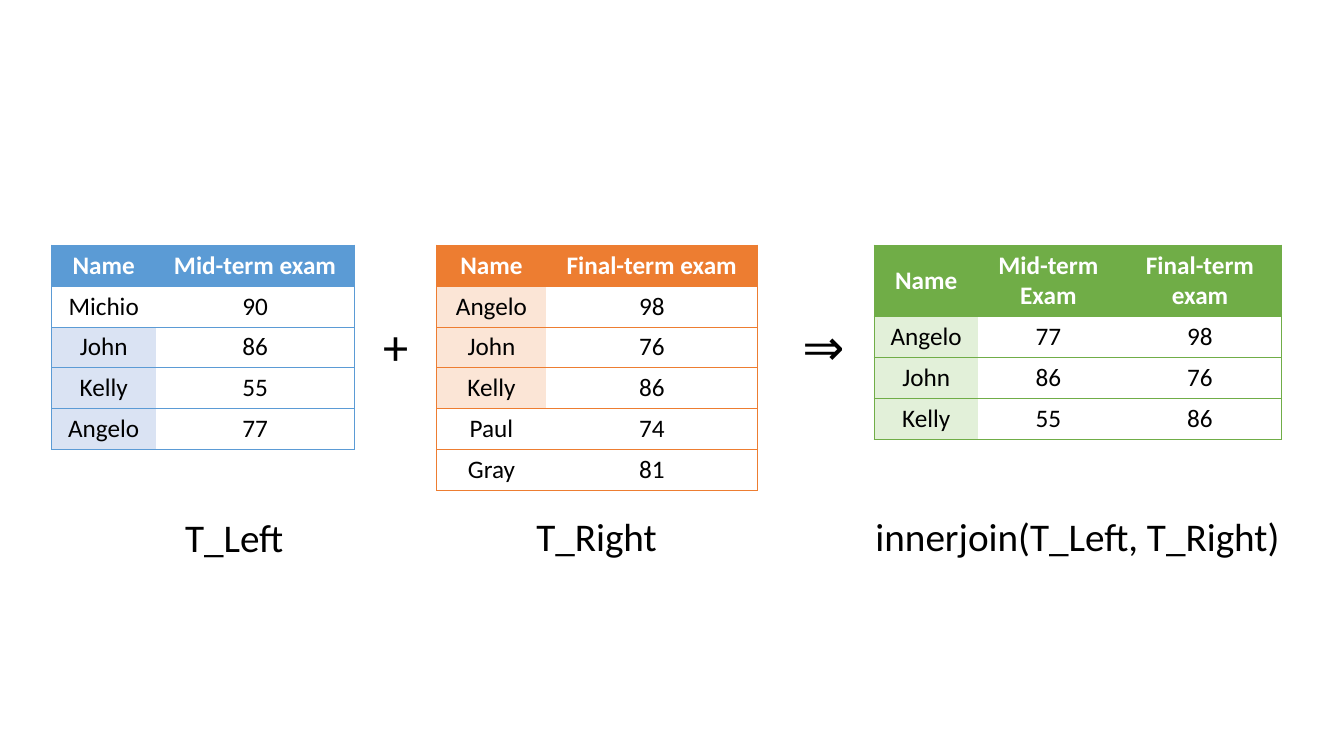
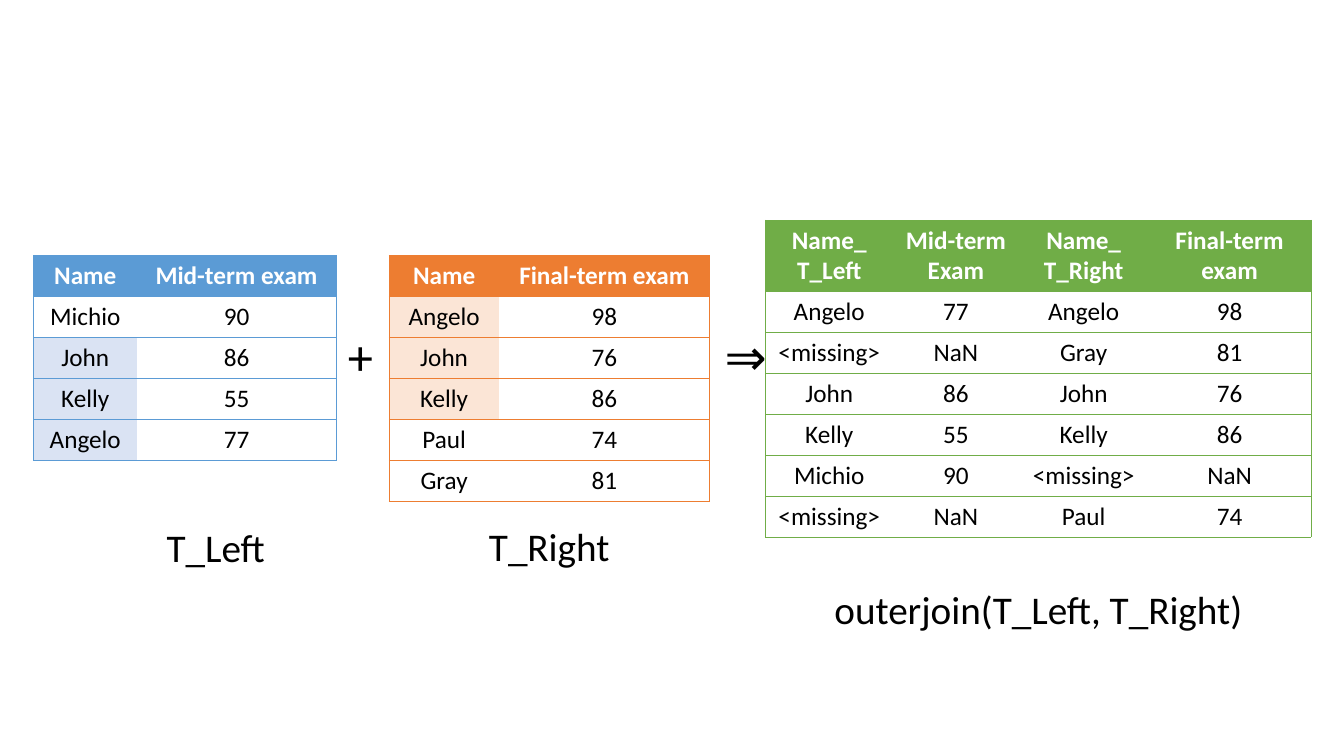
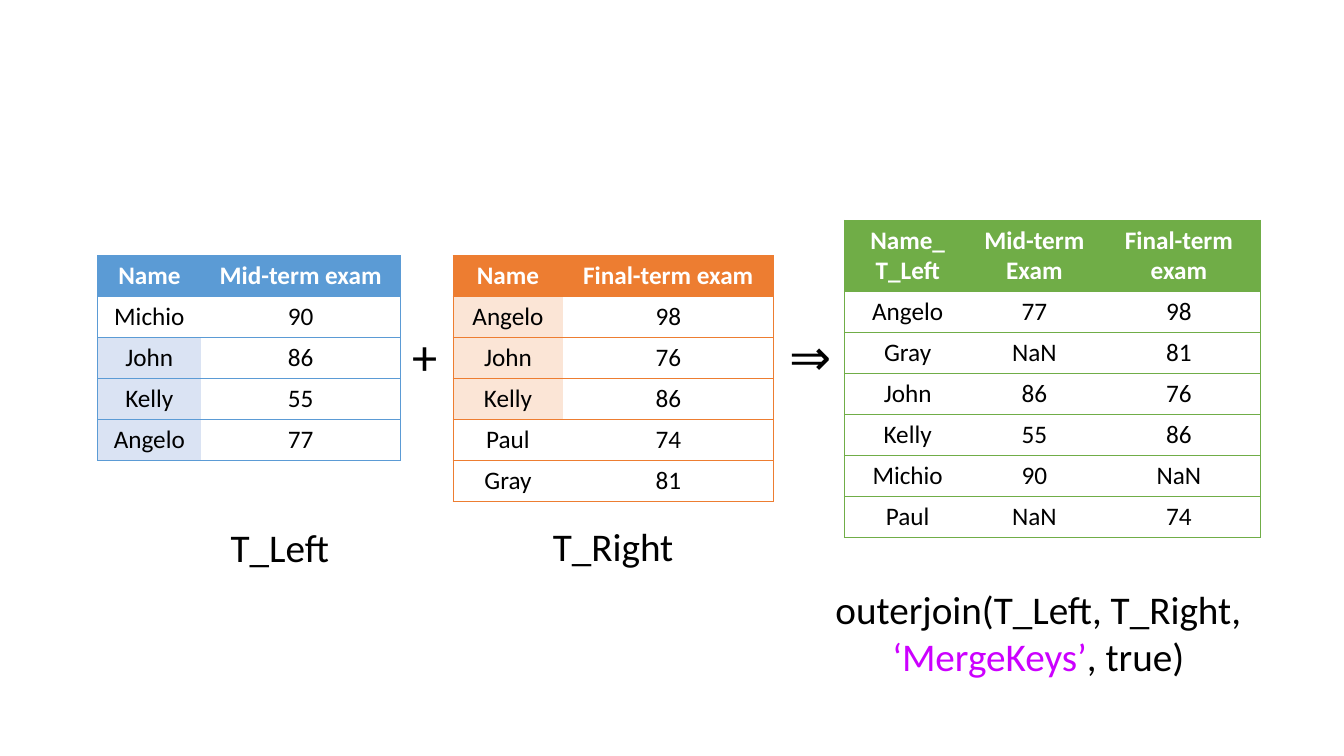
import pptx
import pptx.dml.color
import pptx.enum.text
import pptx.oxml
import pptx.oxml.ns
import pptx.util

Pt = pptx.util.Pt
CENTER = pptx.enum.text.PP_ALIGN.CENTER
MIDDLE = pptx.enum.text.MSO_ANCHOR.MIDDLE

FONT = "Calibri"
COLORS = {
    "blue": "5B9BD5", "light blue": "DAE3F3",
    "orange": "ED7D31", "light orange": "FBE5D6",
    "green": "70AD47", "light green": "E2F0D9",
    "white": "FFFFFF", "black": "000000", "magenta": "CC00FF",
}
COLORS = {name: pptx.dml.color.RGBColor.from_string(value) for name, value in COLORS.items()}

ROW_HEIGHT = 29.25
TALL_HEADER_HEIGHT = 51.1

LEFT_WIDTHS = [74.2, 142]
LEFT_ROWS = [
    ["Name", "Mid-term exam"],
    ["Michio", "90"], ["John", "86"], ["Kelly", "55"], ["Angelo", "77"],
]
RIGHT_WIDTHS = [78.5, 150.5]
RIGHT_ROWS = [
    ["Name", "Final-term exam"],
    ["Angelo", "98"], ["John", "76"], ["Kelly", "86"], ["Paul", "74"], ["Gray", "81"],
]
SHARED_NAMES = {"Angelo", "John", "Kelly"}

SLIDES = [
    {
        "table top": 175, "left x": 37, "plus x": 266.5, "right x": 311.8, "arrow x": 566,
        "result at": (624.3, 175), "widths": [74.6, 100, 116.6], "shaded names": SHARED_NAMES,
        "rows": [
            ["Name", "Mid-term\nExam", "Final-term exam"],
            ["Angelo", "77", "98"], ["John", "86", "76"], ["Kelly", "55", "86"],
        ],
        "caption at": (602.6, 362.2),
        "caption": [("innerjoin(T_Left, T_Right)", "black")],
    },
    {
        "table top": 182.6, "left x": 23.8, "plus x": 241.2, "right x": 278, "arrow x": 510.5,
        "result at": (547, 157.2), "widths": [90.7, 90.3, 92.2, 116.3], "shaded names": set(),
        "rows": [
            ["Name_\vT_Left", "Mid-term\nExam", "Name_\vT_Right", "Final-term exam"],
            ["Angelo", "77", "Angelo", "98"], ["<missing>", "NaN", "Gray", "81"],
            ["John", "86", "John", "76"], ["Kelly", "55", "Kelly", "86"],
            ["Michio", "90", "<missing>", "NaN"], ["<missing>", "NaN", "Paul", "74"],
        ],
        "caption at": (574.6, 414.7),
        "caption": [("outerjoin(T_Left, T_Right)", "black")],
    },
    {
        "table top": 182.6, "left x": 69.6, "plus x": 287.2, "right x": 323.6, "arrow x": 556.5,
        "result at": (603, 157.2), "widths": [90.7, 90.3, 116.3], "shaded names": set(),
        "rows": [
            ["Name_\vT_Left", "Mid-term\nExam", "Final-term exam"],
            ["Angelo", "77", "98"], ["Gray", "NaN", "81"], ["John", "86", "76"],
            ["Kelly", "55", "86"], ["Michio", "90", "NaN"], ["Paul", "NaN", "74"],
        ],
        "caption at": (574.6, 414.7),
        "caption": [("outerjoin(T_Left, T_Right, ", "black"), ("‘MergeKeys’", "magenta"),
                    (", true)", "black")],
    },
]


def add_data_table(slide, left, top, widths, rows, header_height, color, shaded_names):
    """Add a table ruled in one colour, with the given names shaded in its light tint."""
    height = header_height + ROW_HEIGHT * (len(rows) - 1)
    table = slide.shapes.add_table(
        len(rows), len(widths), Pt(left), Pt(top), Pt(sum(widths)), Pt(height)).table
    table.horz_banding = False
    for column, width in zip(table.columns, widths):
        column.width = Pt(width)
    for row_index, values in enumerate(rows):
        is_header = row_index == 0
        table.rows[row_index].height = Pt(header_height if is_header else ROW_HEIGHT)
        for column_index, value in enumerate(values):
            cell = table.cell(row_index, column_index)
            cell.text = value
            cell.vertical_anchor = MIDDLE
            for paragraph in cell.text_frame.paragraphs:
                paragraph.alignment = CENTER
                paragraph.font.name = FONT
                paragraph.font.size = Pt(18)
                paragraph.font.bold = is_header
                paragraph.font.color.rgb = COLORS["white" if is_header else "black"]

            ruled = {"L": column_index == 0, "R": column_index == len(values) - 1,
                     "T": True, "B": True}
            for side, is_ruled in ruled.items():
                paint = (f'<a:solidFill><a:srgbClr val="{COLORS[color]}"/></a:solidFill>'
                         if is_ruled else "<a:noFill/>")
                cell._tc.get_or_add_tcPr().append(pptx.oxml.parse_xml(
                    f'<a:ln{side} {pptx.oxml.ns.nsdecls("a")} w="{Pt(0.5)}">{paint}</a:ln{side}>'))

            if is_header:
                fill = color
            elif column_index == 0 and value in shaded_names:
                fill = "light " + color
            else:
                fill = "white"
            cell.fill.solid()
            cell.fill.fore_color.rgb = COLORS[fill]


def add_centered_text(slide, left, top, width, height, size, runs):
    """Add a one-paragraph text box from (text, colour name) runs."""
    frame = slide.shapes.add_textbox(Pt(left), Pt(top), Pt(width), Pt(height)).text_frame
    frame.word_wrap = True
    paragraph = frame.paragraphs[0]
    paragraph.alignment = CENTER
    paragraph.font.name = FONT
    paragraph.font.size = Pt(size)
    for text, color in runs:
        run = paragraph.add_run()
        run.text = text
        run.font.color.rgb = COLORS[color]


presentation = pptx.Presentation()
presentation.slide_width = Pt(960)
presentation.slide_height = Pt(540)

for content in SLIDES:
    slide = presentation.slides.add_slide(presentation.slide_layouts[6])
    top = content["table top"]
    left_x, right_x = content["left x"], content["right x"]
    add_data_table(slide, left_x, top, LEFT_WIDTHS, LEFT_ROWS, ROW_HEIGHT, "blue", SHARED_NAMES)
    add_data_table(slide, right_x, top, RIGHT_WIDTHS, RIGHT_ROWS, ROW_HEIGHT, "orange",
                   SHARED_NAMES)
    add_data_table(slide, *content["result at"], content["widths"], content["rows"],
                   TALL_HEADER_HEIGHT, "green", content["shaded names"])

    add_centered_text(slide, left_x + 77, top + 188, 106.5, 41, 28, [("T_Left", "black")])
    add_centered_text(slide, right_x + 51.3, top + 187.2, 126, 41, 28, [("T_Right", "black")])
    for symbol, x in [("+", content["plus x"]), ("⇒", content["arrow x"])]:
        add_centered_text(slide, x, top + 46.2, 32.4, 51, 36, [(symbol, "black")])
    add_centered_text(slide, *content["caption at"], 334, 41, 28, content["caption"])

presentation.save("out.pptx")
